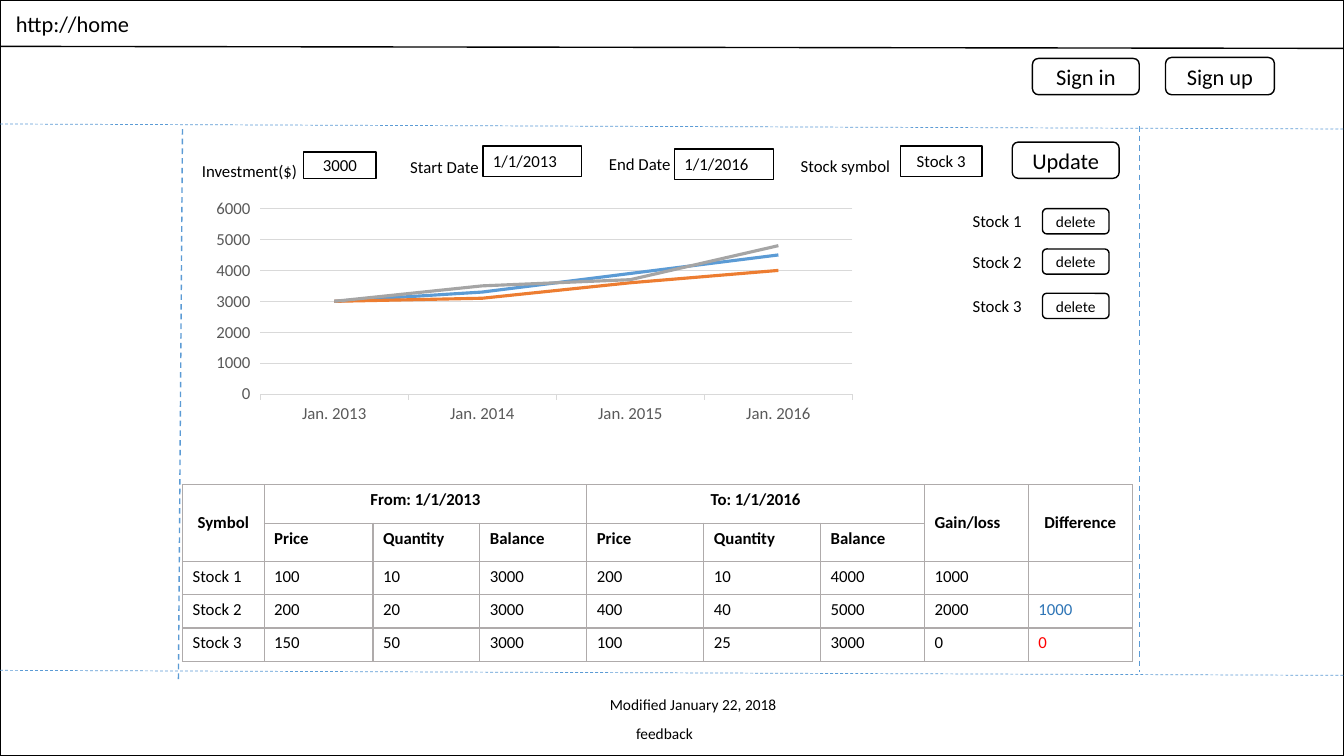
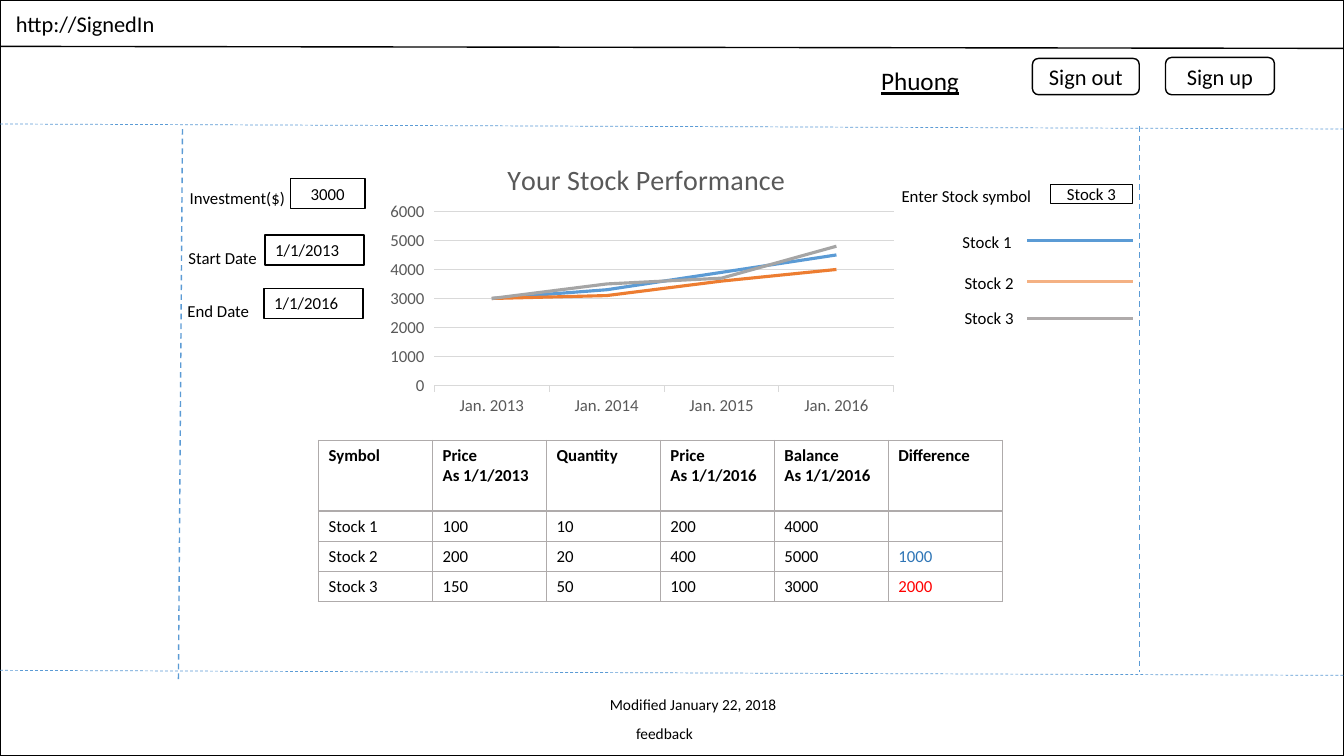
from lxml import etree
from pptx import Presentation
from pptx import util as u
from pptx.chart import data
from pptx.dml.color import RGBColor
from pptx.enum import chart as ch, dml, shapes, text
from pptx.oxml import ns

# Shared look: a grid of inch-wide columns and rows, colours, font
COLS, ROWS = 13.33, 7.5
WIDE, HIGH = u.Inches(COLS), u.Inches(ROWS)
BLACK, WHITE = RGBColor(0, 0, 0), RGBColor(255, 255, 255)
BLUE, AMBER, GRAY = (RGBColor(0x5B, 0x9B, 0xD5), RGBColor(0xED, 0x7D, 0x31),
                     RGBColor(0xA5, 0xA5, 0xA5))
PEACH, EDGE = RGBColor(0xF4, 0xB1, 0x83), RGBColor(0xAF, 0xAB, 0xAB)
GRID, TICK = RGBColor(0xD9, 0xD9, 0xD9), RGBColor(0x59, 0x59, 0x59)
GAIN, LOSS = RGBColor(0x2E, 0x75, 0xB6), RGBColor(255, 0, 0)
FONT = "Calibri"
LEFT, MID = text.PP_ALIGN.LEFT, text.PP_ALIGN.CENTER
RECT, ROUND = shapes.MSO_SHAPE.RECTANGLE, shapes.MSO_SHAPE.ROUNDED_RECTANGLE

# Shared content
YEARS = [f"Jan. {year}" for year in range(2013, 2017)]
TREND = [("Series 1", (3000, 3300, 3900, 4500), BLUE),
         ("Series 2", (3000, 3100, 3600, 4000), AMBER),
         ("Series 3", (3000, 3500, 3700, 4800), GRAY)]
START, END = "1/1/2013", "1/1/2016"


def col(n):
    return round(WIDE * n / COLS)


def row(n):
    return round(HIGH * n / ROWS)


def place(x, y, w, h):
    return col(x), row(y), col(w), row(h)


def dress(obj, **form):
    for name, value in form.items():
        setattr(obj, name, value)


def ink(font, size, tone=BLACK, **more):
    dress(font, name=FONT, size=u.Pt(size), **more)
    font.color.rgb = tone


def stroke(line, tone, width):
    line.color.rgb = tone
    line.width = u.Pt(width)


# Text, boxes and lines
def write(frame, words, size=12, align=LEFT, mid=False, tone=BLACK, **more):
    anchor = text.MSO_ANCHOR.MIDDLE if mid else text.MSO_ANCHOR.TOP
    dress(frame, word_wrap=True, vertical_anchor=anchor)
    for i, part in enumerate(words.split("\n")):
        para = frame.add_paragraph() if i else frame.paragraphs[0]
        para.alignment = align
        run = para.add_run()
        run.text = part
        ink(run.font, size, tone, **more)


def label(slide, words, at, size=12, **form):
    frame = slide.shapes.add_textbox(*place(*at)).text_frame
    write(frame, words, size, **form)


def tag(slide, words, at):
    label(slide, words, at, align=MID, mid=True)


def box(slide, at, words="", kind=RECT, fill=None, **form):
    shape = slide.shapes.add_shape(kind, *place(*at))
    shape.shadow.inherit = False
    if fill is None:
        shape.fill.background()
    else:
        shape.fill.solid()
        shape.fill.fore_color.rgb = fill
    stroke(shape.line, BLACK, 1)
    if words:
        write(shape.text_frame, words, **form)


def field(slide, words, at):
    box(slide, at, words, align=MID, mid=True)


def button(slide, words, at, size=16, fill=WHITE):
    box(slide, at, words, ROUND, fill, size=size, align=MID, mid=True)


def rule(slide, start, end, tone, width, dash=False):
    line = slide.shapes.add_connector(
        shapes.MSO_CONNECTOR.STRAIGHT, col(start[0]), row(start[1]),
        col(end[0]), row(end[1]))
    stroke(line.line, tone, width)
    if dash:
        line.line.dash_style = dml.MSO_LINE.DASH
    etree.SubElement(line._element.spPr, ns.qn("a:effectLst"))


# Line chart
def layout(**share):
    node = etree.Element(ns.qn("c:layout"))
    hand = etree.SubElement(node, ns.qn("c:manualLayout"))
    if "w" in share:
        etree.SubElement(hand, ns.qn("c:layoutTarget"), val="inner")
    for key in "xy":
        etree.SubElement(hand, ns.qn(f"c:{key}Mode"), val="edge")
    for key, value in share.items():
        etree.SubElement(hand, ns.qn(f"c:{key}"), val=str(value))
    return node


def graph(slide, at, plot, title=None):
    feed = data.CategoryChartData()
    feed.categories = YEARS
    for name, vals, _ in TREND:
        feed.add_series(name, vals)
    chart = slide.shapes.add_chart(
        ch.XL_CHART_TYPE.LINE, *place(*at), feed).chart
    dress(chart, has_legend=False, has_title=bool(title))
    ink(chart.font, 10)
    if title:
        write(chart.chart_title.text_frame, title, 20, MID, tone=TICK,
              bold=False)
        head = chart.chart_title._element
        for old in head.findall(ns.qn("c:layout")):
            head.remove(old)
        head.find(ns.qn("c:tx")).addnext(layout(x=0.23, y=0.05))
    area = chart._chartSpace.chart.plotArea
    for old in area.findall(ns.qn("c:layout")):
        area.remove(old)
    area.insert(0, layout(**dict(zip("xywh", plot))))

    chart.plots[0].vary_by_categories = False
    for line, (_, _, tone) in zip(chart.plots[0].series, TREND):
        line.smooth = False
        line.marker.style = ch.XL_MARKER_STYLE.NONE
        stroke(line.format.line, tone, 2.25)
    cats, vals = chart.category_axis, chart.value_axis
    for axis in (cats, vals):
        ink(axis.tick_labels.font, 12, TICK)
        axis.major_tick_mark = ch.XL_TICK_MARK.OUTSIDE
    stroke(cats.format.line, GRID, 0.75)
    vals.format.line.fill.background()
    dress(vals, minimum_scale=0, maximum_scale=6000, major_unit=1000,
          has_major_gridlines=True)
    stroke(vals.major_gridlines.format.line, GRID, 0.75)


# Table
def border(cell):
    props = cell._tc.get_or_add_tcPr()
    for i, side in enumerate("LRTB"):
        line = etree.Element(ns.qn(f"a:ln{side}"), w=str(u.Pt(1)))
        fill = etree.SubElement(line, ns.qn("a:solidFill"))
        etree.SubElement(fill, ns.qn("a:srgbClr"), val=str(EDGE))
        props.insert(i, line)


def sheet(slide, spot, wide, high, rows, heads=1, spans=(), centre=(),
          tones=None):
    at = place(*spot, sum(wide), sum(high))
    grid = slide.shapes.add_table(len(rows), len(wide), *at).table
    dress(grid, first_row=False, horz_banding=False)
    for part, n in zip(grid.columns, wide):
        part.width = col(n)
    for part, n in zip(grid.rows, high):
        part.height = row(n)
    tall = set()
    for top, left, low, right in spans:
        grid.cell(top, left).merge(grid.cell(low, right))
        if low > top:
            tall.add((top, left))
    for r, line in enumerate(rows):
        for c, words in enumerate(line):
            cell, key = grid.cell(r, c), (r, c)
            cell.fill.background()
            border(cell)
            if key in tall:
                cell.vertical_anchor = text.MSO_ANCHOR.MIDDLE
            if not words:
                # Keeps an empty cell from growing its row
                cell.text_frame.paragraphs[0].font.size = u.Pt(12)
                continue
            for i, part in enumerate(words.split("\n")):
                frame = cell.text_frame
                para = frame.add_paragraph() if i else frame.paragraphs[0]
                para.alignment = MID if key in centre else LEFT
                run = para.add_run()
                run.text = part
                ink(run.font, 12, (tones or {}).get(key, BLACK),
                    bold=r < heads)


# Page frame that both slides share
def page(deck, address, sign):
    slide = deck.slides.add_slide(deck.slide_layouts[6])
    box(slide, (0, 0, COLS, ROWS))
    rule(slide, (0, 0.46), (COLS, 0.48), BLACK, 1)
    label(slide, address, (0.06, 0.05, 2.49, 0.37), 16)
    for y in (1.23, 6.65):
        rule(slide, (0, y), (COLS, y + 0.05), BLUE, 0.5, True)
    button(slide, sign, (10.24, 0.58, 1.06, 0.36))
    button(slide, "Sign up", (11.56, 0.57, 1.08, 0.37))
    label(slide, "feedback", (6.21, 7.13, 1.41, 0.29), 11)
    label(slide, "Modified January 22, 2018", (5.95, 6.85, 3.04, 0.29), 11)
    rule(slide, (1.81, 1.28), (1.77, 6.74), BLUE, 1, True)
    rule(slide, (11.3, 1.25), (11.3, 6.67), BLUE, 1, True)
    return slide


def dates(slide, names, boxes):
    for name, day, spot, slot in zip(("Start Date", "End Date"),
                                     (START, END), names, boxes):
        label(slide, name, (*spot, 0.91, 0.3))
        box(slide, (*slot, 0.98, 0.3), day)


def home(deck):
    slide = page(deck, "http://home", "Sign in")
    graph(slide, (2.02, 1.93, 6.6, 2.33), (0.085, 0.06, 0.89, 0.79))
    # Input row
    field(slide, "3000", (3.01, 1.51, 0.72, 0.26))
    tag(slide, "Investment($)", (1.81, 1.57, 1.33, 0.24))
    tag(slide, "Stock symbol", (7.61, 1.48, 1.55, 0.34))
    field(slide, "Stock 3", (8.93, 1.45, 0.81, 0.3))
    dates(slide, [(3.97, 1.51), (5.94, 1.48)], [(4.79, 1.45), (6.69, 1.48)])
    button(slide, "Update", (10.04, 1.41, 1.06, 0.36))
    # Stock list
    for i, y in enumerate((2.07, 2.47, 2.91), 1):
        tag(slide, f"Stock {i}", (9.51, y, 0.76, 0.25))
        button(slide, "delete", (10.34, y, 0.66, 0.25), 11, None)
    # Results
    trio = ["Price", "Quantity", "Balance"]
    sheet(slide, (1.81, 4.81),
          [0.81, 1.08, 1.06, 1.06, 1.16, 1.16, 1.03, 1.03, 1.03],
          [0.38] * 2 + [0.33] * 3,
          [["Symbol", f"From: {START}", "", "", f"To: {END}", "", "",
            "Gain/loss", "Difference"],
           ["", *trio, *trio, "", ""],
           ["Stock 1", "100", "10", "3000", "200", "10", "4000", "1000", ""],
           ["Stock 2", "200", "20", "3000", "400", "40", "5000", "2000",
            "1000"],
           ["Stock 3", "150", "50", "3000", "100", "25", "3000", "0", "0"]],
          heads=2,
          spans=[(0, 0, 1, 0), (0, 1, 0, 3), (0, 4, 0, 6), (0, 7, 1, 7),
                 (0, 8, 1, 8)],
          centre=[(0, 0), (0, 1), (0, 4), (0, 8)],
          tones={(3, 8): GAIN, (4, 8): LOSS})


def member(deck):
    slide = page(deck, "http://SignedIn", "Sign out")
    graph(slide, (3.79, 1.4, 5.18, 2.79), (0.1, 0.25, 0.88, 0.62),
          "Your Stock Performance")
    # Inputs
    field(slide, "3000", (2.88, 1.77, 0.74, 0.3))
    tag(slide, "Investment($)", (1.67, 1.82, 1.37, 0.28))
    tag(slide, "Enter Stock symbol", (8.81, 1.77, 1.55, 0.34))
    field(slide, "Stock 3", (10.42, 1.83, 0.81, 0.19))
    dates(slide, [(1.77, 2.41), (1.76, 2.93)], [(2.63, 2.33), (2.62, 2.86)])
    # Chart key
    keys = [(9.41, 2.27, 2.39, BLUE), (9.43, 2.68, 2.79, PEACH),
            (9.43, 3.03, 3.16, EDGE)]
    for i, (x, y, mark, tone) in enumerate(keys, 1):
        tag(slide, f"Stock {i}", (x, y, 0.76, 0.25))
        rule(slide, (10.19, mark), (11.24, mark), tone, 2)
    # Results
    sheet(slide, (3.16, 4.37), [1.13] * 6, [0.7] + [0.3] * 3,
          [["Symbol", f"Price\nAs {START}", "Quantity", f"Price\nAs {END}",
            f"Balance\nAs {END}", "Difference"],
           ["Stock 1", "100", "10", "200", "4000", ""],
           ["Stock 2", "200", "20", "400", "5000", "1000"],
           ["Stock 3", "150", "50", "100", "3000", "2000"]],
          tones={(2, 5): GAIN, (3, 5): LOSS})
    label(slide, "Phuong", (8.64, 0.6, 1.17, 0.4), 18, underline=True)


def main():
    deck = Presentation()
    dress(deck, slide_width=WIDE, slide_height=HIGH)
    home(deck)
    member(deck)
    deck.save("out.pptx")


main()
